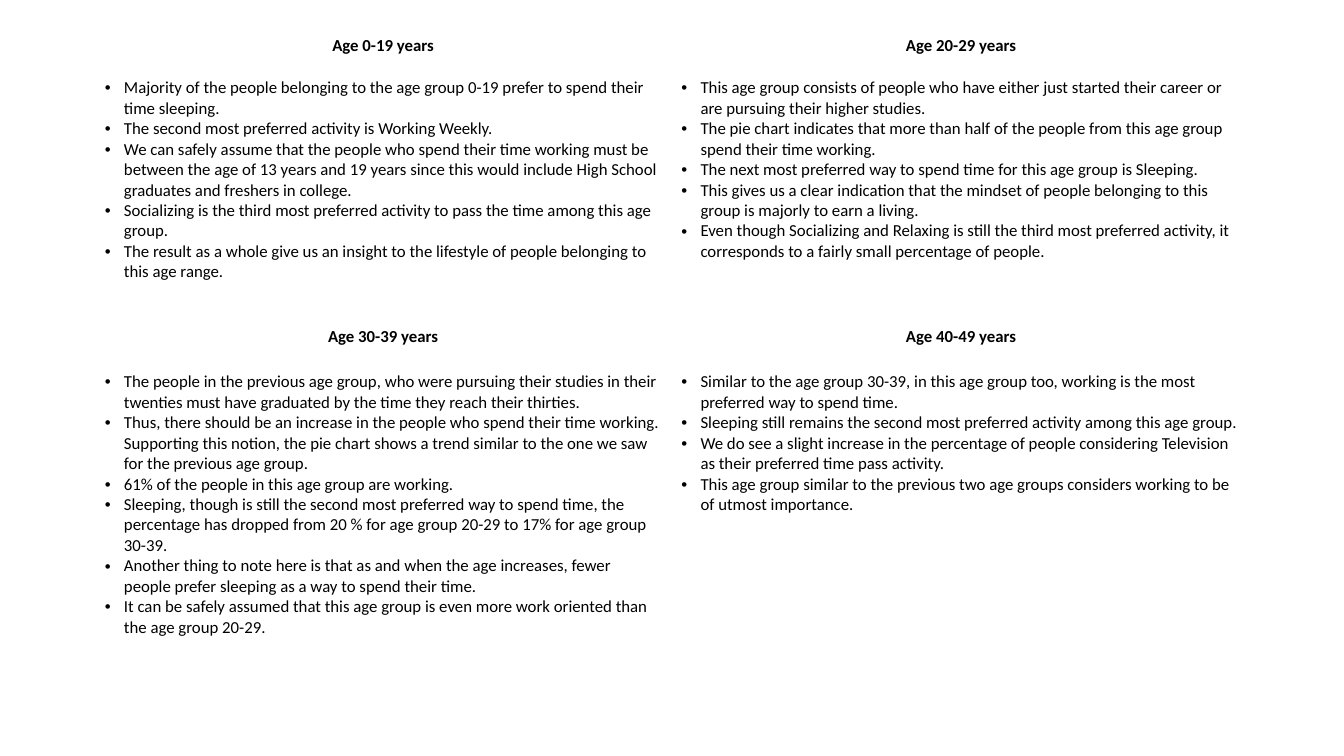
from lxml.etree import SubElement
from pptx import Presentation
from pptx.dml.color import RGBColor
from pptx.enum.text import PP_ALIGN
from pptx.oxml.ns import qn
from pptx.util import Cm, Pt

COLORS = {"text": "000000"}
FONT = "Calibri"
COLUMN_WIDTHS = [14.53, 14.6]
ROW_HEIGHTS = [1.07, 6.27, 1.14, 7.62]
BULLET_INDENT = Cm(0.48)

# Age groups in reading order: heading and findings
AGE_GROUPS = [
    ("Age 0-19 years", [
        "Majority of the people belonging to the age group 0-19 prefer to spend their time sleeping.",
        "The second most preferred activity is Working Weekly.",
        "We can safely assume that the people who spend their time working must be between the age of "
        "13 years and 19 years since this would include High School graduates and freshers in college.",
        "Socializing is the third most preferred activity to pass the time among this age group.",
        "The result as a whole give us an insight to the lifestyle of people belonging to this age range.",
    ]),
    ("Age 20-29 years", [
        "This age group consists of people who have either just started their career or are pursuing "
        "their higher studies.",
        "The pie chart indicates that more than half of the people from this age group spend their "
        "time working.",
        "The next most preferred way to spend time for this age group is Sleeping.",
        "This gives us a clear indication that the mindset of people belonging to this group is "
        "majorly to earn a living.",
        "Even though Socializing and Relaxing is still the third most preferred activity, it "
        "corresponds to a fairly small percentage of people.",
    ]),
    ("Age 30-39 years", [
        "The people in the previous age group, who were pursuing their studies in their twenties must "
        "have graduated by the time they reach their thirties.",
        "Thus, there should be an increase in the people who spend their time working. Supporting this "
        "notion, the pie chart shows a trend similar to the one we saw for the previous age group.",
        "61% of the people in this age group are working.",
        "Sleeping, though is still the second most preferred way to spend time, the percentage has "
        "dropped from 20 % for age group 20-29 to 17% for age group 30-39.",
        "Another thing to note here is that as and when the age increases, fewer people prefer "
        "sleeping as a way to spend their time.",
        "It can be safely assumed that this age group is even more work oriented than the age group 20-29.",
    ]),
    ("Age 40-49 years", [
        "Similar to the age group 30-39, in this age group too, working is the most preferred way to "
        "spend time.",
        "Sleeping still remains the second most preferred activity among this age group.",
        "We do see a slight increase in the percentage of people considering Television as their "
        "preferred time pass activity.",
        "This age group similar to the previous two age groups considers working to be of utmost "
        "importance.",
    ]),
]


def add_text(paragraph, text, bold):
    run = paragraph.add_run()
    run.text = text
    run.font.name = FONT
    run.font.size = Pt(12)
    run.font.bold = bold
    run.font.color.rgb = RGBColor.from_string(COLORS["text"])


def add_bullet(paragraph):
    properties = paragraph._p.get_or_add_pPr()
    properties.set("marL", str(BULLET_INDENT))
    properties.set("indent", str(-BULLET_INDENT))
    SubElement(properties, qn("a:buFont"), typeface="Arial")
    SubElement(properties, qn("a:buChar"), char="•")


# Slide
prs = Presentation()
prs.slide_width = Cm(33.87)
prs.slide_height = Cm(19.05)
slide = prs.slides.add_slide(prs.slide_layouts[6])

# Table grid, without banding or header style
age_table = slide.shapes.add_table(
    len(ROW_HEIGHTS), len(COLUMN_WIDTHS), Cm(2.39), Cm(0.76),
    Cm(sum(COLUMN_WIDTHS)), Cm(sum(ROW_HEIGHTS))).table
age_table.first_row = False
age_table.horz_banding = False
for column, width in zip(age_table.columns, COLUMN_WIDTHS):
    column.width = Cm(width)
for row, height in zip(age_table.rows, ROW_HEIGHTS):
    row.height = Cm(height)
for cell in age_table.iter_cells():
    cell.fill.background()

# Each age group takes a heading cell and the findings cell below it
for position, (heading, findings) in enumerate(AGE_GROUPS):
    group_row, group_column = divmod(position, 2)
    heading_line = age_table.cell(2 * group_row, group_column).text_frame.paragraphs[0]
    heading_line.alignment = PP_ALIGN.CENTER
    add_text(heading_line, heading, True)

    findings_frame = age_table.cell(2 * group_row + 1, group_column).text_frame
    for number, finding in enumerate(findings):
        finding_line = findings_frame.add_paragraph() if number else findings_frame.paragraphs[0]
        add_bullet(finding_line)
        add_text(finding_line, finding, False)

prs.save("out.pptx")
